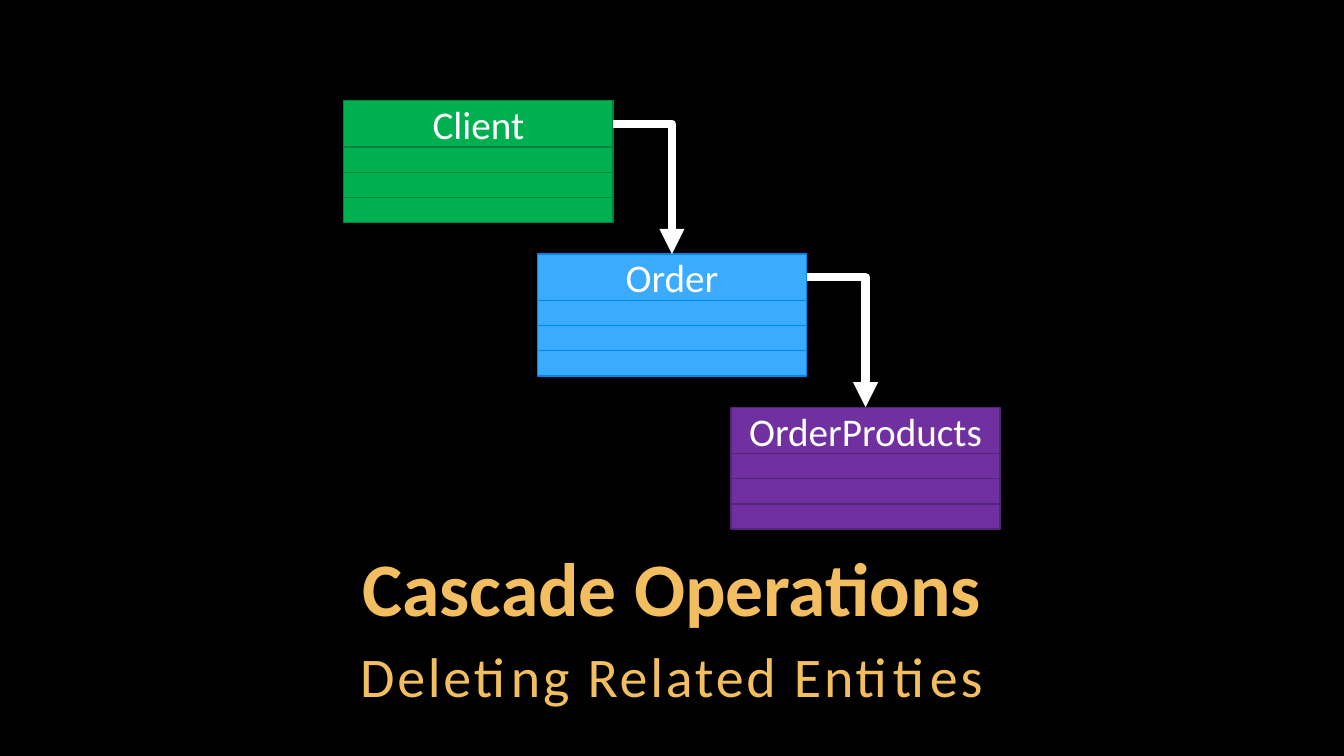
from lxml.etree import SubElement
from pptx import Presentation
from pptx.dml.color import RGBColor
from pptx.enum.shapes import MSO_CONNECTOR, MSO_SHAPE
from pptx.enum.text import MSO_ANCHOR, MSO_AUTO_SIZE, PP_ALIGN
from pptx.oxml.ns import qn
from pptx.util import Emu, Pt

SCALE = 9144
FONT = "Calibri"
GOLD = "F3BE60"
WHITE = "FFFFFF"
HEAD, ROW, ROWS = 46, 25, 3
STEP_X, STEP_Y = 192, 152
TABLES = [
    ("Client", "00B050", "00843C"),
    ("Order", "3BABFF", "0087EC"),
    ("OrderProducts", "7030A0", "542478"),
]


def px(*nums):
    """Turn px lengths into EMU."""
    return [Emu(num * SCALE) for num in nums]


def paint(color, code):
    """Set a fill, line or font colour from a hex string."""
    color.rgb = RGBColor.from_string(code)


def write(frame, text, size, code, bold=False):
    """Add one centred run to the first paragraph and return both."""
    para = frame.paragraphs[0]
    para.alignment = PP_ALIGN.CENTER
    run = para.add_run()
    run.text = text
    font = run.font
    font.name, font.size, font.bold = FONT, Pt(size), bold
    paint(font.color, code)
    return para, run


def inset(frame, anchor):
    """Give a heading frame narrow margins and an anchor."""
    frame.word_wrap = True
    frame.auto_size = MSO_AUTO_SIZE.NONE
    frame.vertical_anchor = anchor
    edge, = px(4)
    frame.margin_left = frame.margin_right = edge
    frame.margin_top = frame.margin_bottom = edge


def title(slide, box):
    """Place the slide title in its box."""
    shape = slide.shapes.title
    shape.left, shape.top, shape.width, shape.height = px(*box)
    inset(shape.text_frame, MSO_ANCHOR.BOTTOM)
    para, run = write(shape.text_frame, "Cascade Operations", 54, GOLD, True)
    para.line_spacing = 0.9


def subtitle(slide, box):
    """Place the letter-spaced subtitle in its box."""
    frame = slide.shapes.add_textbox(*px(*box)).text_frame
    inset(frame, MSO_ANCHOR.TOP)
    para, run = write(frame, "Deleting Related Entities", 40, GOLD)
    para.line_spacing = 1.05
    para.space_after = Pt(6)
    run.font._element.set("spc", "200")


def cell(group, box, fill, edge):
    """Add one outlined rectangle to a table group."""
    shape = group.shapes.add_shape(MSO_SHAPE.RECTANGLE, *px(*box))
    shape.shadow.inherit = False
    shape.fill.solid()
    paint(shape.fill.fore_color, fill)
    paint(shape.line.color, edge)
    shape.line.width = Pt(1)
    return shape


def table(slide, left, top, width, name, fill, edge):
    """Draw an entity with empty rows and return its header."""
    group = slide.shapes.add_group_shape()
    for row in range(ROWS):
        cell(group, (left, top + HEAD + row * ROW, width, ROW), fill, edge)
    head = cell(group, (left, top, width, HEAD), fill, edge)
    head.text_frame.vertical_anchor = MSO_ANCHOR.MIDDLE
    write(head.text_frame, name, 28, WHITE)
    return head


def arrow(slide, start, end):
    """Link the right of one header to the top of the next."""
    link = slide.shapes.add_connector(MSO_CONNECTOR.ELBOW, 0, 0, 0, 0)
    link.begin_connect(start, 3)
    link.end_connect(end, 0)
    paint(link.line.color, WHITE)
    link.line.width = Pt(6)
    props = link._element.spPr
    props.find(qn("a:prstGeom")).set("prst", "bentConnector2")
    SubElement(props.find(qn("a:ln")), qn("a:tailEnd"), type="triangle")
    SubElement(props, qn("a:effectLst"))


def cascade(slide, left, top, width):
    """Step the entities down to the right and link them."""
    heads = [
        table(slide, left + i * STEP_X, top + i * STEP_Y, width, *spec)
        for i, spec in enumerate(TABLES)
    ]
    for start, end in zip(heads, heads[1:]):
        arrow(slide, start, end)


def main():
    """Build and save the slide."""
    deck = Presentation()
    deck.slide_width, deck.slide_height = px(1333, 750)
    slide = deck.slides.add_slide(deck.slide_layouts[5])
    slide.background.fill.solid()
    paint(slide.background.fill.fore_color, "000000")
    title(slide, (100, 542, 1133, 90))
    subtitle(slide, (100, 629, 1133, 79))
    cascade(slide, 341, 100, 267)
    deck.save("out.pptx")


if __name__ == "__main__":
    main()
